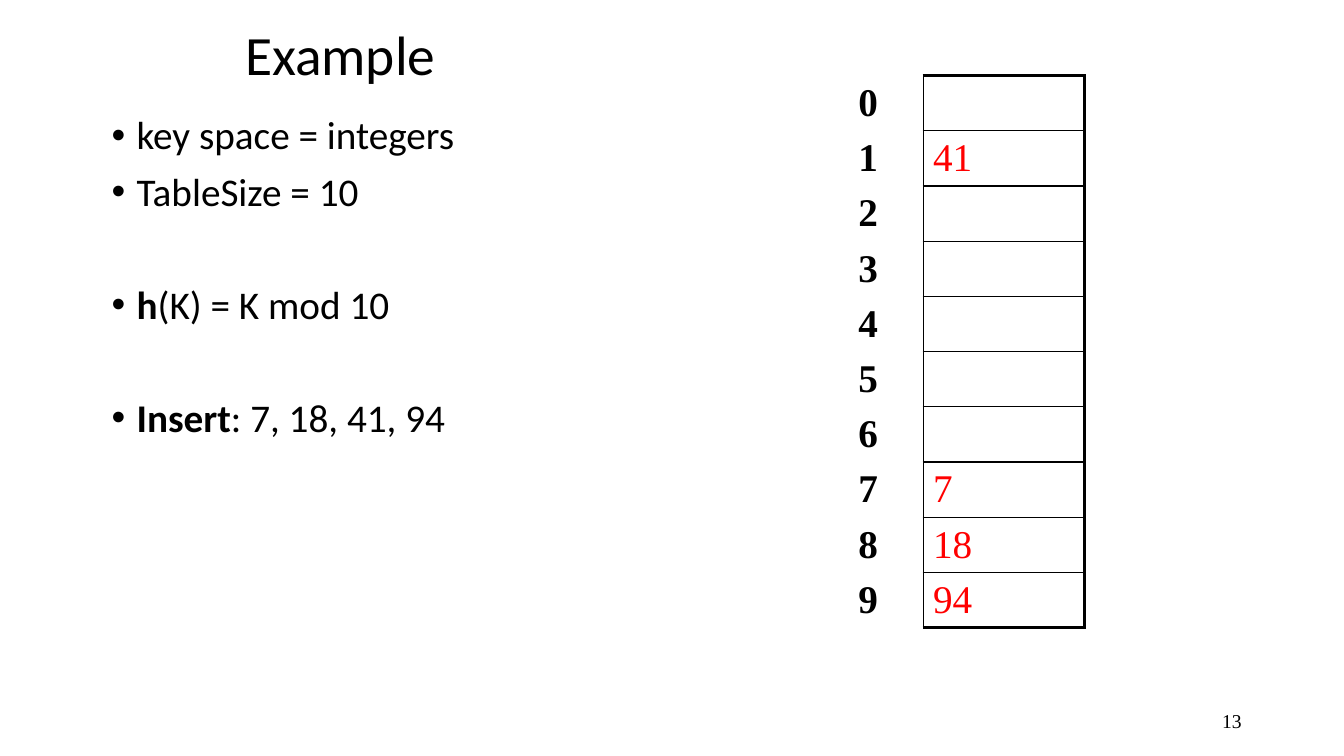
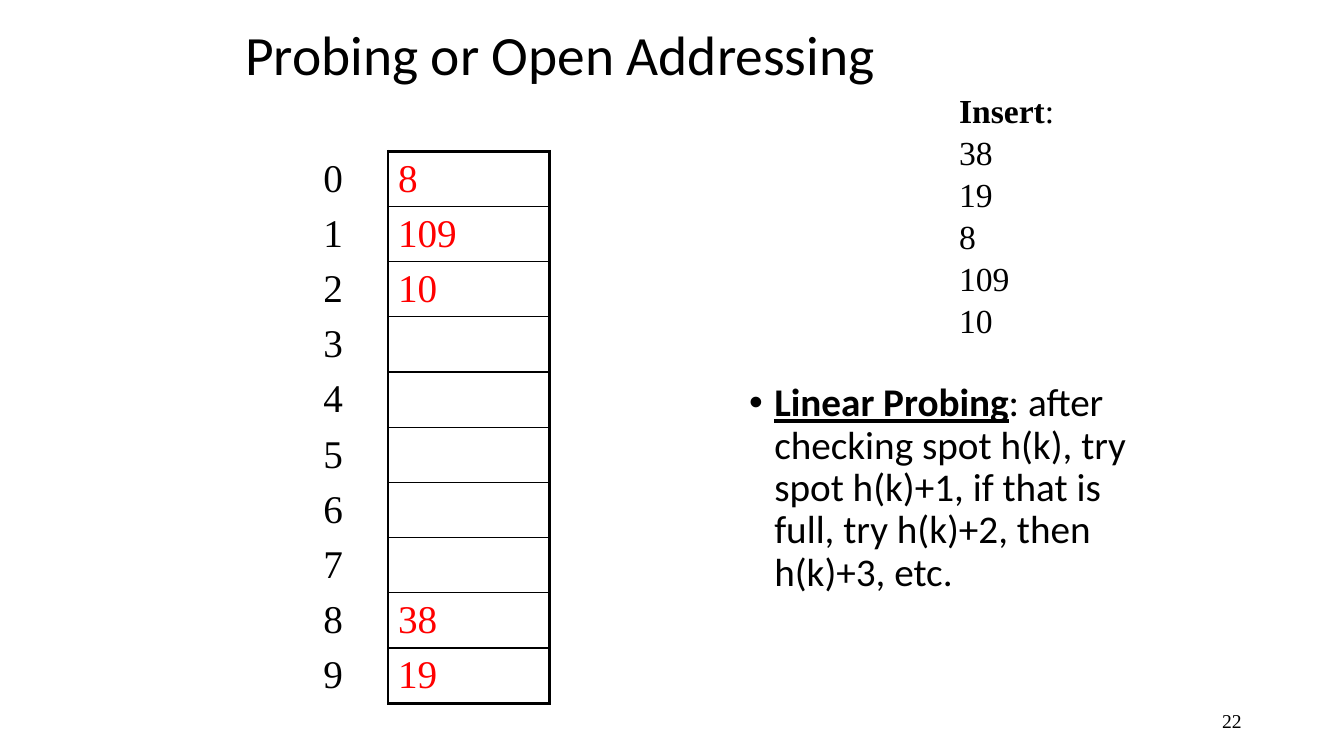
import pptx
import pptx.util
import pptx.dml.color
import pptx.enum.text
import pptx.oxml.ns
import lxml.etree

Pt = pptx.util.Pt
Align = pptx.enum.text.PP_ALIGN
Anchor = pptx.enum.text.MSO_ANCHOR
qn = pptx.oxml.ns.qn

BLACK = pptx.dml.color.RGBColor(0x00, 0x00, 0x00)
RED = pptx.dml.color.RGBColor(0xFF, 0x00, 0x00)
SANS, SERIF = "Calibri", "Times New Roman"

# The slide is a grid of 160 columns by 90 rows
COLS, ROWS = 160, 90
UNIT = pptx.util.Inches(1) // 12
THIN, THICK = 1, 2.25
GAP = 50.5  # space before an item that opens a new group


def grid(*sizes):
    return [round(size * UNIT) for size in sizes]


def write(para, text, size=28, face=SANS, color=BLACK, bold=False, line=False):
    """Add one run of formatted text to a paragraph."""
    run = para.add_run()
    run.text = text
    font = run.font
    font.size, font.name, font.bold = Pt(size), face, bold
    font.underline = line
    font.color.rgb = color


def dot(para):
    """Give a paragraph a bullet with a hanging indent."""
    props = para._p.get_or_add_pPr()
    props.set("marL", str(UNIT * 3))
    props.set("indent", str(-UNIT * 3))
    mark = lxml.etree.SubElement(props, qn("a:buFont"))
    mark.set("typeface", "Arial")
    lxml.etree.SubElement(props, qn("a:buChar")).set("char", "•")


def edge(cell, **widths):
    """Draw the named cell sides (L, R, T, B); clear the others."""
    props = cell._tc.get_or_add_tcPr()
    for spot, side in enumerate("LRTB"):
        width = widths.get(side, 0)
        line = lxml.etree.Element(qn("a:ln" + side), w=str(int(Pt(width))))
        if width:
            fill = lxml.etree.SubElement(line, qn("a:solidFill"))
            lxml.etree.SubElement(fill, qn("a:srgbClr")).set("val", str(BLACK))
        else:
            lxml.etree.SubElement(line, qn("a:noFill"))
        props.insert(spot, line)


class Deck:
    def __init__(self):
        self.file = pptx.Presentation()
        self.file.slide_width, self.file.slide_height = grid(COLS, ROWS)
        self.slide = None

    def page(self, title, number):
        """Start a slide with its title and number."""
        self.slide = self.file.slides.add_slide(self.file.slide_layouts[6])
        para = self.box(28, 2.3, 102, 9, Anchor.MIDDLE).paragraphs[0]
        para.line_spacing = 0.9
        write(para, title, size=39.6)
        para = self.box(113, 83.4, 36, 4.8, Anchor.MIDDLE).paragraphs[0]
        para.alignment = Align.RIGHT
        write(para, str(number), size=14, face=SERIF)

    def box(self, left, top, width, height, anchor=Anchor.TOP):
        shape = self.slide.shapes.add_textbox(*grid(left, top, width, height))
        frame = shape.text_frame
        frame.word_wrap = True
        frame.vertical_anchor = anchor
        return frame

    def points(self, place, items):
        """Bulleted items: (space before, emphasised text, rest, underline)."""
        frame = self.box(*place)
        for index, (space, strong, rest, line) in enumerate(items):
            para = frame.add_paragraph() if index else frame.paragraphs[0]
            para.line_spacing, para.space_before = 0.9, Pt(space)
            dot(para)
            if strong:
                write(para, strong, bold=True, line=line)
            write(para, rest)

    def keys(self, place, head, values):
        """A heading with a plain list of keys below it."""
        frame = self.box(*place)
        for index, text in enumerate([head] + values):
            para = frame.add_paragraph() if index else frame.paragraphs[0]
            para.space_before = Pt(1.25)
            write(para, str(text), size=24, face=SERIF, bold=not index)
            if not index:
                write(para, ":", size=24, face=SERIF)

    def table(self, left, top, slots, bold=False, count=10):
        """Hash table: index column and bordered column of stored keys."""
        wide, tall = (8.9, 19.2), 6.37
        area = grid(left, top, sum(wide), tall * count)
        table = self.slide.shapes.add_table(count, 2, *area).table
        table.first_row = table.horz_banding = False
        for col, width in zip(table.columns, grid(*wide)):
            col.width = width
        for row in range(count):
            table.rows[row].height = grid(tall)[0]
            label, slot = table.cell(row, 0), table.cell(row, 1)
            for cell in (label, slot):
                cell.fill.background()
                cell.vertical_anchor = Anchor.MIDDLE
                cell.margin_top = cell.margin_bottom = Pt(2.9)
            edge(label, R=THIN)
            edge(slot, L=THIN, R=THICK,
                 T=THIN if row else THICK,
                 B=THIN if row < count - 1 else THICK)
            write(label.text_frame.paragraphs[0], str(row), face=SERIF,
                  bold=bold)
            if row in slots:
                write(slot.text_frame.paragraphs[0], str(slots[row]),
                      face=SERIF, color=RED)


def main():
    deck = Deck()

    # Simple hashing
    deck.page("Example", 13)
    deck.points((12.1, 13.2, 89, 59.5), [
        (10, "", "key space = integers", False),
        (10, "", "TableSize = 10", False),
        (GAP, "h", "(K) = K mod 10", False),
        (GAP, "Insert", ": 7, 18, 41, 94", False),
    ])
    deck.table(101, 9, {key % 10: key for key in (7, 18, 41)} | {9: 94},
               bold=True)

    # Linear probing
    deck.page("Probing or Open Addressing", 22)
    deck.table(37.3, 18, {0: 8, 1: 109, 2: 10, 8: 38, 9: 19})
    deck.keys((113, 10.1, 16.3, 30.2), "Insert", [38, 19, 8, 109, 10])
    deck.points((88, 45, 49, 36), [
        (10, "Linear Probing",
         ": after checking spot h(k), try spot h(k)+1, if that is full, "
         "try h(k)+2, then h(k)+3, etc.", True),
    ])

    deck.file.save("out.pptx")


if __name__ == "__main__":
    main()
